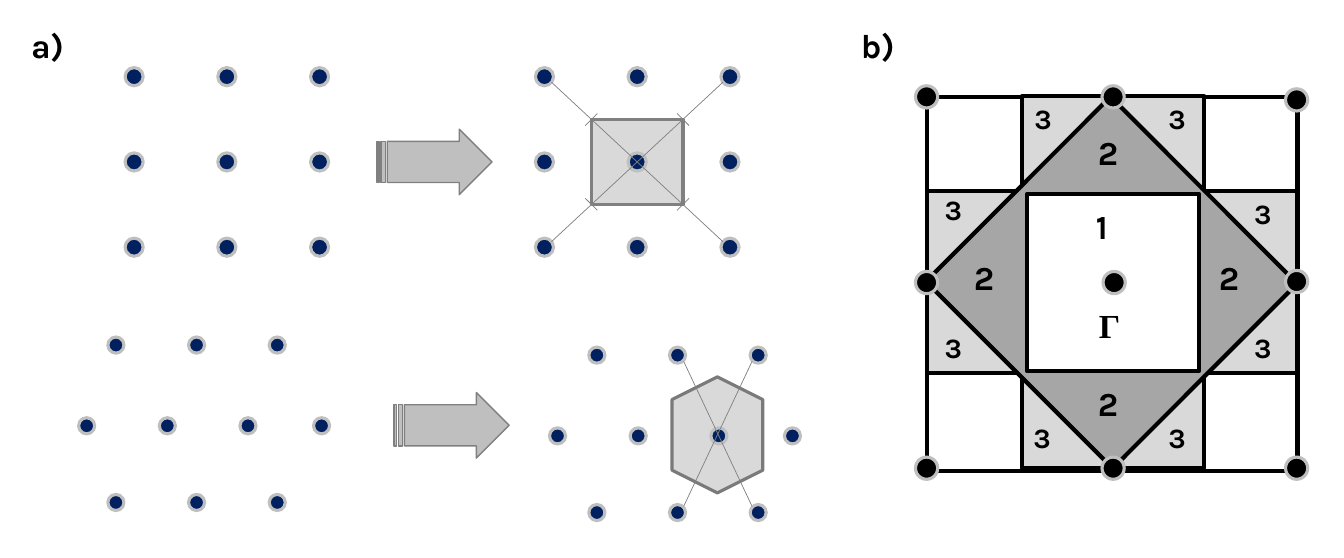
from lxml import etree
from pptx import Presentation
from pptx.dml.color import RGBColor
from pptx.enum.shapes import MSO_CONNECTOR, MSO_SHAPE
from pptx.enum.text import MSO_AUTO_SIZE
from pptx.oxml.ns import qn
from pptx.util import Inches, Pt

ELLIPSE = MSO_SHAPE.OVAL
RECTANGLE = MSO_SHAPE.RECTANGLE
HEXAGON = MSO_SHAPE.HEXAGON
STRIPED_ARROW = MSO_SHAPE.STRIPED_RIGHT_ARROW
STRAIGHT = MSO_CONNECTOR.STRAIGHT
FIT_TEXT = MSO_AUTO_SIZE.SHAPE_TO_FIT_TEXT

BLACK, WHITE, NAVY = "000000", "FFFFFF", "002060"
LIGHT, SILVER, MIDDLE, GREY, DARK = "D9D9D9", "BFBFBF", "A6A6A6", "808080", "7A7A7A"
SQUARE_DOT, HEXAGONAL_DOT, ZONE_DOT = 0.18, 0.16, 0.22


def color(value):
    return RGBColor.from_string(value)


def add_outline(shapes, kind, left, top, width, height, fill, line, weight, rotation=0):
    shape = shapes.add_shape(kind, Inches(left), Inches(top), Inches(width), Inches(height))
    shape.shadow.inherit = False
    shape.fill.solid()
    shape.fill.fore_color.rgb = color(fill)
    shape.line.color.rgb = color(line)
    shape.line.width = Pt(weight)
    shape.rotation = rotation
    return shape


def add_dot(shapes, center_x, center_y, size, fill):
    add_outline(shapes, ELLIPSE, center_x - size / 2, center_y - size / 2,
                size, size, fill, SILVER, 2.25)


def add_thin_line(shapes, start_x, start_y, end_x, end_y):
    connector = shapes.add_connector(STRAIGHT, Inches(start_x), Inches(start_y),
                                     Inches(end_x), Inches(end_y))
    connector.line.color.rgb = color(GREY)
    connector.line.width = Pt(0.5)
    etree.SubElement(connector._element.spPr, qn("a:effectLst"))


def add_label(shapes, left, top, width, height, text, size=24, font="Karla"):
    box = shapes.add_textbox(Inches(left), Inches(top), Inches(width), Inches(height))
    frame = box.text_frame
    frame.word_wrap = False
    frame.auto_size = FIT_TEXT
    run = frame.paragraphs[0].add_run()
    run.text = text
    run.font.name = font
    run.font.size = Pt(size)
    run.font.bold = True
    run.font.color.rgb = color(BLACK)


def add_step_arrow(shapes, left, top):
    arrow = add_outline(shapes, STRIPED_ARROW, left, top, 1.14, 0.65, SILVER, GREY, 1)
    arrow.adjustments[0] = 0.628
    arrow.adjustments[1] = 0.5


def add_square_lattice(shapes, left, top, width, height):
    for row in range(3):
        for column in range(3):
            add_dot(shapes, left + column * width / 2, top + row * height / 2,
                    SQUARE_DOT, NAVY)


def add_square_cell(shapes, left, top, width, height):
    center_x, center_y = left + width / 2, top + height / 2
    cell_width, cell_height, tick = 0.91, 0.84, 0.06
    add_outline(shapes, RECTANGLE, center_x - cell_width / 2, center_y - cell_height / 2,
                cell_width, cell_height, LIGHT, GREY, 2.25)
    add_square_lattice(shapes, left, top, width, height)
    for side in (1, -1):
        add_thin_line(shapes, center_x - side * 0.85, center_y - 0.79,
                      center_x + side * 0.85, center_y + 0.79)
    for side_x in (-1, 1):
        for side_y in (-1, 1):
            corner_x = center_x + side_x * cell_width / 2
            corner_y = center_y + side_y * cell_height / 2
            add_thin_line(shapes, corner_x + side_x * tick, corner_y - side_y * tick,
                          corner_x - side_x * tick, corner_y + side_y * tick)


def add_hexagonal_lattice(shapes, left, top, inset):
    outer_row = [inset + 0.8 * column for column in range(3)]
    rows = ((0, outer_row), (0.8, [0, 0.8, 1.6, 2.33]), (1.56, outer_row))
    for offset_y, offsets in rows:
        for offset_x in offsets:
            add_dot(shapes, left + offset_x, top + offset_y, HEXAGONAL_DOT, NAVY)


def add_hexagonal_cell(shapes, left, top):
    add_outline(shapes, HEXAGON, left + 1.01, top + 0.34, 1.15, 0.9, LIGHT, DARK, 2.25, 90)
    add_hexagonal_lattice(shapes, left, top, 0.39)
    for start_x, end_x in ((1.25, 1.93), (1.93, 1.25)):
        add_thin_line(shapes, left + start_x, top + 0.06, left + end_x, top + 1.5)


def add_brillouin_zones(shapes, left, top, width, height):
    areas = (
        (0, 0, width, height, WHITE, 0),
        (0.01, 0.93, width, 1.81, LIGHT, 90),
        (0, 0.93, width, 1.81, LIGHT, 0),
        (0.54, 0.53, 2.59, 2.62, MIDDLE, 315),
        (1, 0.96, 1.7, 1.76, WHITE, 0),
    )
    for x, y, area_width, area_height, fill, rotation in areas:
        add_outline(shapes, RECTANGLE, left + x, top + y, area_width, area_height,
                    fill, BLACK, 3, rotation)

    dots = ((0, 0), (1.85, 0), (3.67, 0.03), (0, 1.84), (1.86, 1.84), (3.67, 1.83),
            (0, 3.68), (1.85, 3.68), (3.67, 3.68))
    for x, y in dots:
        add_dot(shapes, left + x, top + y, ZONE_DOT, BLACK)

    second_zone = ((0.37, 1.54), (1.6, 2.79), (1.6, 0.3), (2.8, 1.54))
    third_zone = ((3.15, 0.94), (3.15, 2.27), (0.08, 2.27), (0.08, 0.9),
                  (0.97, 0), (2.3, 0), (2.3, 3.16), (0.96, 3.16))
    add_label(shapes, left + 1.58, top + 1.03, 0.42, 0.5, "1")
    for x, y in second_zone:
        add_label(shapes, left + x, top + y, 0.42, 0.5, "2")
    for x, y in third_zone:
        add_label(shapes, left + x, top + y, 0.38, 0.44, "3", 20)
    add_label(shapes, left + 1.61, top + 2.01, 0.42, 0.5, "Γ", font="Times New Roman")


def main():
    presentation = Presentation()
    presentation.slide_width = Inches(13.33)
    presentation.slide_height = Inches(5.53)
    slide = presentation.slides.add_slide(presentation.slide_layouts[6])
    shapes = slide.shapes

    add_label(shapes, 0.21, 0.2, 0.56, 0.5, "a)")
    add_square_lattice(shapes, 1.33, 0.76, 1.84, 1.69)
    add_step_arrow(shapes, 3.74, 1.28)
    add_square_cell(shapes, 5.4, 0.76, 1.84, 1.69)
    add_hexagonal_lattice(shapes.add_group_shape().shapes, 0.86, 4.22 - 0.8, 0.29)
    add_step_arrow(shapes, 3.91, 3.89)
    add_hexagonal_cell(shapes, 5.53, 3.52)

    add_label(shapes, 8.44, 0.2, 0.57, 0.5, "b)")
    add_brillouin_zones(shapes.add_group_shape().shapes, 9.19, 0.96, 3.68, 3.71)
    presentation.save("out.pptx")


if __name__ == "__main__":
    main()
